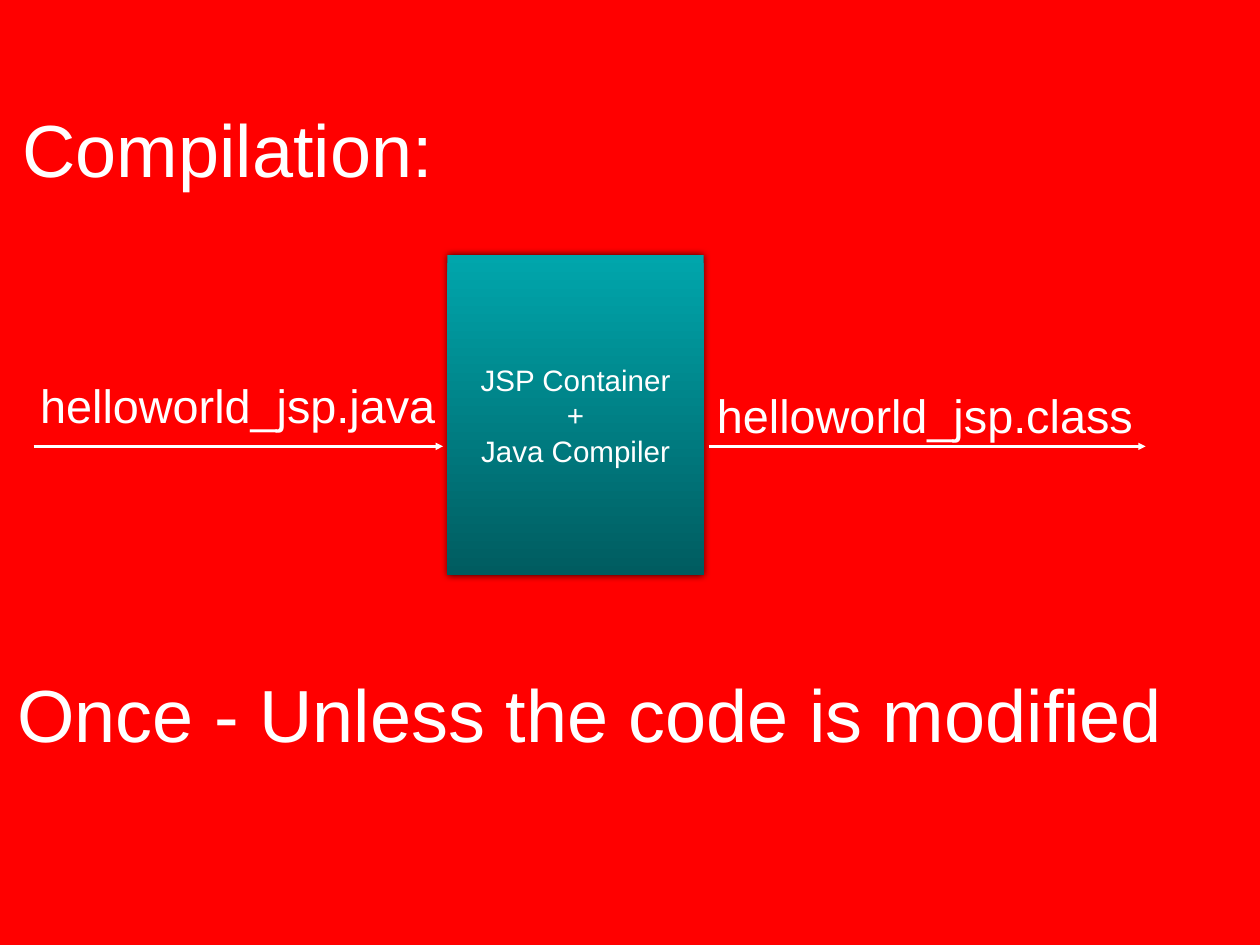
"""Build the slide that shows how a JSP servlet source is compiled."""
from pptx import Presentation
from pptx.dml.color import RGBColor
from pptx.enum import shapes, text
from pptx.oxml import parse_xml
from pptx.oxml.ns import nsdecls
from pptx.util import Inches, Pt

WHITE = RGBColor(0xFF, 0xFF, 0xFF)
RED = RGBColor(0xFF, 0x00, 0x00)
TEAL = RGBColor(0x00, 0xA6, 0xAC)
DARK_TEAL = RGBColor(0x00, 0x5C, 0x60)

TITLE = ("Compilation:", 60, (0.17, 1.12, 4.8, 1.11))
LABELS = [
    ("helloworld_jsp.java", 38, (0.38, 4.19, 4.61, 0.75)),
    ("helloworld_jsp.class", 38, (8, 4.31, 4.88, 0.75)),
    ("Once - Unless the code is modified ", 60, (0.02, 7.5, 13.51, 1.11)),
]
COMPILER = ("JSP Container\n+\nJava Compiler", 24, (5.05, 2.88, 2.89, 3.61))
ARROW_SPANS = [(0.38, 5), (8, 12.93)]
ARROW_Y = 5.04
INSET = 0.06


def place(shape, box):
    """Move and size a shape from a box in inches."""
    shape.left, shape.top, shape.width, shape.height = map(Inches, box)


def write(shape, words, size):
    """Fill a shape with centred white text."""
    frame = shape.text_frame
    frame.text = words
    frame.vertical_anchor = text.MSO_ANCHOR.MIDDLE
    frame.margin_left = frame.margin_right = Inches(INSET)
    frame.margin_top = frame.margin_bottom = Inches(INSET)
    for paragraph in frame.paragraphs:
        paragraph.alignment = text.PP_ALIGN.CENTER
        for run in paragraph.runs:
            run.font.name = "Arial"
            run.font.size = Pt(size)
            run.font.color.rgb = WHITE


def write_label(shape, words, size, box):
    """Place a one-line text that grows with its words."""
    write(shape, words, size)
    shape.text_frame.word_wrap = False
    shape.text_frame.auto_size = text.MSO_AUTO_SIZE.SHAPE_TO_FIT_TEXT
    place(shape, box)


def add_compiler(slide):
    """Draw the compiler block with its gradient and soft shadow."""
    words, size, box = COMPILER
    block = slide.shapes.add_shape(shapes.MSO_SHAPE.RECTANGLE, *map(Inches, box))
    block.fill.gradient()
    block.fill.gradient_angle = 270
    for stop, color in zip(block.fill.gradient_stops, (TEAL, DARK_TEAL)):
        stop.color.rgb = color
    block.line.fill.background()
    block.shadow.inherit = False
    block.element.spPr.find("{*}effectLst").append(parse_xml(
        f'<a:outerShdw {nsdecls("a")} blurRad="{Pt(6)}" dist="0" dir="18900000">'
        '<a:srgbClr val="000000"><a:alpha val="80000"/></a:srgbClr></a:outerShdw>'))
    write(block, words, size)


def add_arrow(slide, start, end):
    """Draw a white horizontal arrow."""
    arrow = slide.shapes.add_connector(
        shapes.MSO_CONNECTOR.STRAIGHT, *map(Inches, (start, ARROW_Y, end, ARROW_Y)))
    arrow.line.color.rgb = WHITE
    arrow.line.width = Pt(2)
    arrow.line._get_or_add_ln().append(
        parse_xml(f'<a:tailEnd {nsdecls("a")} type="triangle"/>'))
    arrow.element.spPr.append(parse_xml(f'<a:effectLst {nsdecls("a")}/>'))


def main():
    """Assemble and save the slide."""
    presentation = Presentation()
    presentation.slide_width = Inches(14.22)
    presentation.slide_height = Inches(10.67)
    slide = presentation.slides.add_slide(presentation.slide_layouts[5])
    slide.background.fill.solid()
    slide.background.fill.fore_color.rgb = RED
    write_label(slide.shapes.title, *TITLE)
    add_compiler(slide)
    for start, end in ARROW_SPANS:
        add_arrow(slide, start, end)
    for words, size, box in LABELS:
        label = slide.shapes.add_textbox(*map(Inches, box))
        write_label(label, words, size, box)
    presentation.save("out.pptx")


if __name__ == "__main__":
    main()
